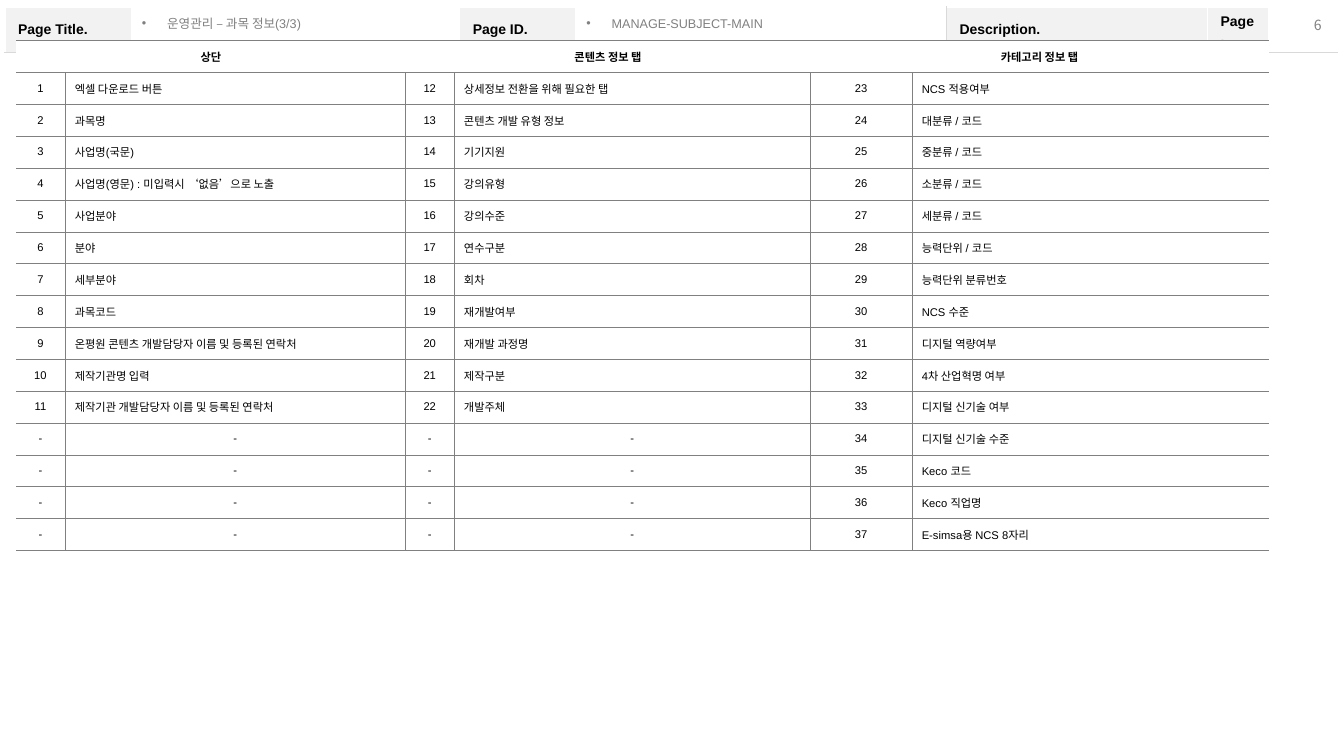
from dataclasses import dataclass
from itertools import zip_longest

from lxml import etree
from pptx import Presentation
from pptx.dml.color import RGBColor
from pptx.enum import text as t
from pptx.oxml import ns
from pptx.util import Pt


@dataclass(frozen=True)
class Theme:
    latin: str = "Arial"
    asian: str = "Noto Sans CJK KR"
    black: str = "000000"
    white: str = "FFFFFF"
    panel: str = "F2F2F2"
    rule: str = "D9D9D9"
    grid: str = "808080"
    faint: str = "7F7F7F"
    label: int = 10
    note: int = 9
    cell: int = 8
    thin: float = 0.25
    thick: float = 1


THEME = Theme()
MID = t.MSO_ANCHOR.MIDDLE
ALIGN = t.PP_ALIGN

HEADS = ["상단", "콘텐츠 정보 탭", "카테고리 정보 탭"]
TOP = [
    "엑셀 다운로드 버튼", "과목명", "사업명(국문)",
    "사업명(영문) : 미입력시 ‘없음’으로 노출", "사업분야", "분야", "세부분야",
    "과목코드", "온평원 콘텐츠 개발담당자 이름 및 등록된 연락처",
    "제작기관명 입력", "제작기관 개발담당자 이름 및 등록된 연락처",
]
CONTENT = [
    "상세정보 전환을 위해 필요한 탭", "콘텐츠 개발 유형 정보", "기기지원",
    "강의유형", "강의수준", "연수구분", "회차", "재개발여부", "재개발 과정명",
    "제작구분", "개발주체",
]
CATEGORY = [
    "NCS 적용여부", "대분류 / 코드", "중분류 / 코드", "소분류 / 코드",
    "세분류 / 코드", "능력단위 / 코드", "능력단위 분류번호", "NCS 수준",
    "디지털 역량여부", "4차 산업혁명 여부", "디지털 신기술 여부",
    "디지털 신기술 수준", "Keco 코드", "Keco 직업명", "E-simsa용 NCS 8자리",
]


def style(para, size, color, bold=False, latin=THEME.latin):
    for run in para.runs:
        font = run.font
        font.size, font.bold, font.name = Pt(size), bold, latin
        font.color.rgb = RGBColor.from_string(color)
        east = etree.SubElement(run._r.get_or_add_rPr(), ns.qn("a:ea"))
        east.set("typeface", THEME.asian)


def set_edges(cell, edges):
    """Draw the given sides (L, R, T, B) as (colour, width); clear the others."""
    props = cell._tc.get_or_add_tcPr()
    for spot, side in enumerate("LRTB"):
        line = etree.Element(ns.qn(f"a:ln{side}"))
        if side in edges:
            color, width = edges[side]
            line.set("w", str(Pt(width)))
            fill = etree.SubElement(line, ns.qn("a:solidFill"))
            etree.SubElement(fill, ns.qn("a:srgbClr")).set("val", color)
        else:
            etree.SubElement(line, ns.qn("a:noFill"))
        props.insert(spot, line)


def set_cell(cell, words, size, bold, align, pad):
    cell.vertical_anchor = MID
    cell.margin_left = cell.margin_right = Pt(pad[0])
    cell.margin_top = cell.margin_bottom = Pt(pad[1])
    cell.text_frame.text = words
    para = cell.text_frame.paragraphs[0]
    para.alignment = align
    style(para, size, THEME.black, bold)


def set_fill(cell, color):
    cell.fill.solid()
    cell.fill.fore_color.rgb = RGBColor.from_string(color)


def add_grid(slide, left, top, widths, heights):
    frame = slide.shapes.add_table(
        len(heights), len(widths), Pt(left), Pt(top),
        Pt(sum(widths)), Pt(sum(heights)))
    table = frame.table
    table.first_row = table.horz_banding = False
    for col, width in zip(table.columns, widths):
        col.width = Pt(width)
    for row, height in zip(table.rows, heights):
        row.height = Pt(height)
    return table


def add_frame(slide):
    """Page frame: a row of labels above the canvas and description areas."""
    widths = [90.75, 234, 82.75, 265, 186.5, 43.75, 49]
    table = add_grid(slide, 3.6, 5, widths, [24, 479.5])
    labels = {0: "Page Title.", 2: "Page ID.", 4: "Description.", 5: "Page."}
    plain, rule = (THEME.white, THEME.thick), (THEME.rule, THEME.thin)
    for row in range(2):
        for col in range(len(widths)):
            cell = table.cell(row, col)
            if row == 0 and col in labels:
                set_cell(cell, labels[col], THEME.label, True, ALIGN.LEFT, (9.4, 5))
                set_fill(cell, THEME.panel)
            else:
                cell.fill.background()
            set_edges(cell, {
                "L": rule if col == 4 else plain,
                "R": rule if col == 3 else plain,
                "T": rule if row else plain,
                "B": plain if row else rule,
            })
    table.cell(1, 0).merge(table.cell(1, 3))
    table.cell(1, 4).merge(table.cell(1, 6))


def list_rows():
    """Number the items through all groups and fill short groups with dashes."""
    groups, count = [], 1
    for items in (TOP, CONTENT, CATEGORY):
        groups.append([(str(n), item) for n, item in enumerate(items, count)])
        count += len(items)
    for pairs in zip_longest(*groups, fillvalue=("-", "-")):
        yield [words for pair in pairs for words in pair]


def add_items(slide):
    rows = list(list_rows())
    widths = [34.75, 243.5, 34.5, 254.75, 72.25, 255]
    table = add_grid(slide, 11.5, 28.9, widths, [22.78] * (len(rows) + 1))
    line, pad = (THEME.grid, THEME.thin), (7.2, 3.6)
    for col in range(0, len(widths), 2):
        table.cell(0, col).merge(table.cell(0, col + 1))
        set_cell(table.cell(0, col), HEADS[col // 2], THEME.cell, True,
                 ALIGN.CENTER, pad)
        for half in (col, col + 1):
            set_fill(table.cell(0, half), THEME.white)
            set_edges(table.cell(0, half), {"T": line, "B": line})
    for row, texts in enumerate(rows, 1):
        for col, words in enumerate(texts):
            cell = table.cell(row, col)
            mid = col % 2 == 0 or words == "-"
            set_cell(cell, words, THEME.cell, False,
                     ALIGN.CENTER if mid else ALIGN.JUSTIFY, pad)
            set_fill(cell, THEME.white)
            edges = {"T": line, "B": line}
            if col > 0:
                edges["L"] = line
            if col < len(widths) - 1:
                edges["R"] = line
            set_edges(cell, edges)


def add_text(slide, words, left, top, width, height):
    frame = slide.shapes.add_textbox(
        Pt(left), Pt(top), Pt(width), Pt(height)).text_frame
    frame.word_wrap, frame.vertical_anchor = True, MID
    frame.text = words
    return frame.paragraphs[0]


def add_bullet(slide, words, left, width):
    para = add_text(slide, words, left, 8.6, width, 17.3)
    para.line_spacing = 0.9
    props = para._p.get_or_add_pPr()
    props.set("marL", str(Pt(18)))
    props.set("indent", str(Pt(-18)))
    etree.SubElement(props, ns.qn("a:buFont")).set("typeface", THEME.latin)
    etree.SubElement(props, ns.qn("a:buChar")).set("char", "•")
    style(para, THEME.note, THEME.grid)


def add_number(slide, words):
    para = add_text(slide, words, 908, 7.2, 43.2, 21.6)
    para.alignment = ALIGN.RIGHT
    style(para, THEME.label, THEME.faint, latin=THEME.asian)


def main():
    deck = Presentation()
    deck.slide_width, deck.slide_height = Pt(960), Pt(540)
    slide = deck.slides.add_slide(deck.slide_layouts[6])
    add_frame(slide)
    add_number(slide, "6")
    add_bullet(slide, "운영관리 – 과목 정보(3/3)", 94.3, 233.3)
    add_bullet(slide, "MANAGE-SUBJECT-MAIN", 411.8, 262)
    add_items(slide)
    deck.save("out.pptx")


if __name__ == "__main__":
    main()
